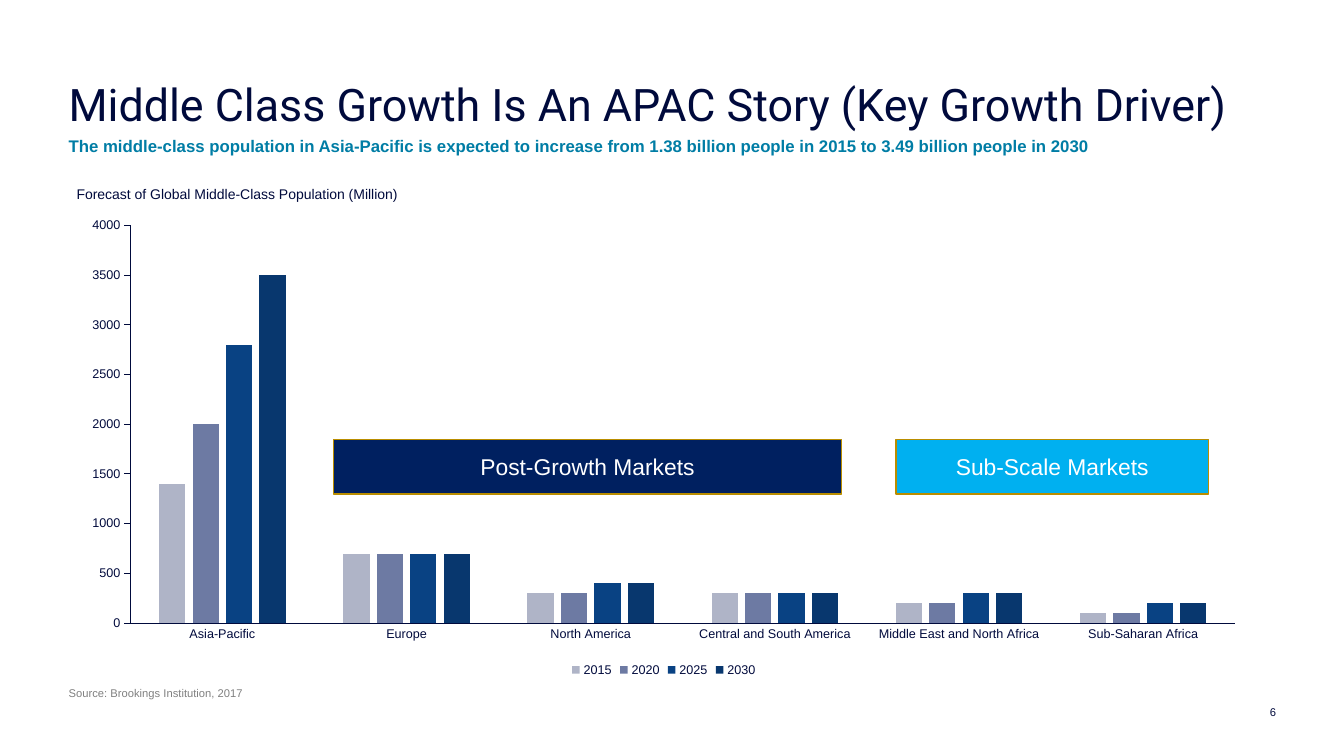
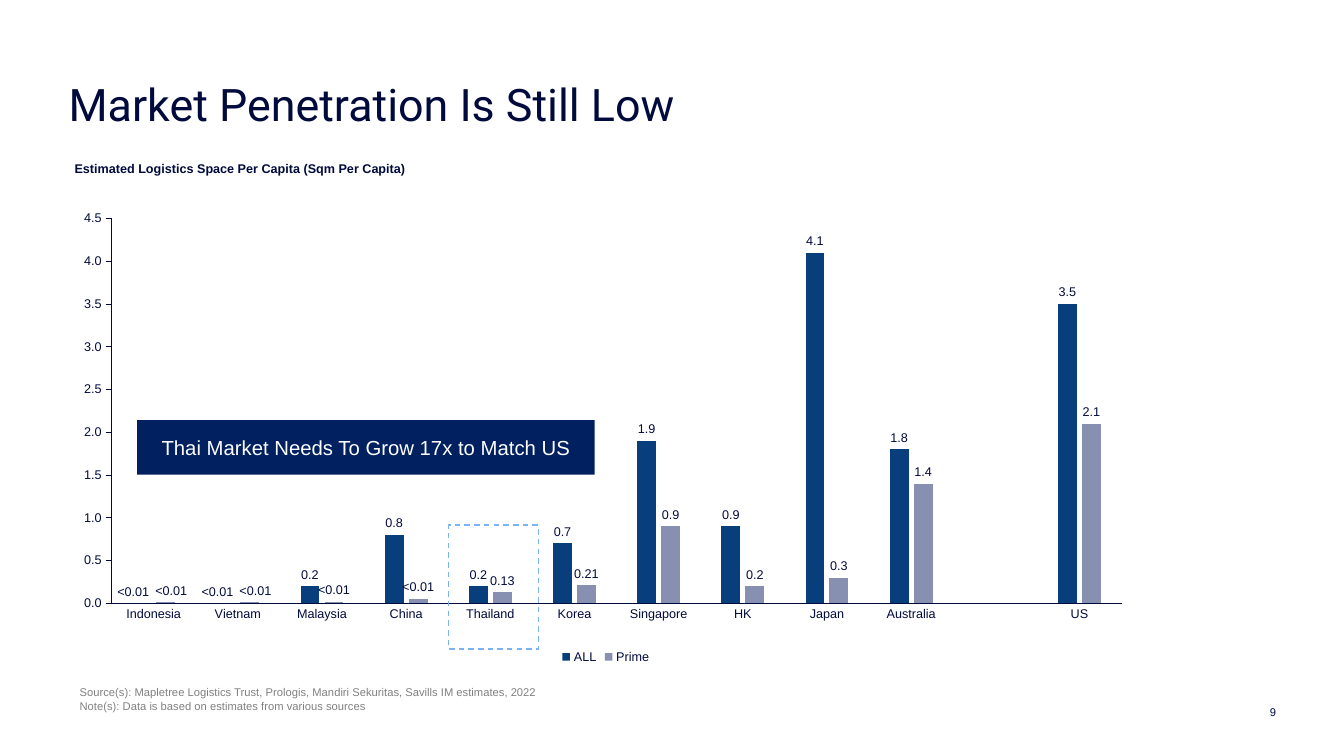
"""Build two slides on middle-class growth and logistics space per capita."""
import pptx
import pptx.chart.data
import pptx.dml.color
import pptx.enum.chart
import pptx.enum.dml
import pptx.enum.shapes
import pptx.enum.text
import pptx.oxml
import pptx.oxml.ns
import pptx.util

Pt = pptx.util.Pt
RGB = pptx.dml.color.RGBColor
ALIGN = pptx.enum.text.PP_ALIGN
ANCHOR = pptx.enum.text.MSO_ANCHOR
TICK = pptx.enum.chart.XL_TICK_MARK

INK = RGB(0x00, 0x0A, 0x3C)
GREY = RGB(0x80, 0x80, 0x80)
TEAL = RGB(0x00, 0x7D, 0xA5)
WHITE = RGB(0xFF, 0xFF, 0xFF)
NAVY = RGB(0x00, 0x20, 0x60)
SKY = RGB(0x00, 0xB0, 0xF0)
GOLD = RGB(0xB9, 0x8D, 0x00)
DASH_BLUE = RGB(0x79, 0xB2, 0xF5)

LEFT = 49
CALLOUT_HEIGHT = 38.9
PAGE_NUMBER_BOX = (838.1, 505.4, 73.4, 5.8)
NO_INSETS = (0, 0, 0, 0)
INSETS = (0, 3, 7, 3)

GROWTH = {
    "title": "Middle Class Growth Is An APAC Story (Key Growth Driver)",
    "width": 850.3,
    "page": "6",
    "texts": [
        (["The middle-class population in Asia-Pacific is expected to increase "
          "from 1.38 billion people in 2015 to 3.49 billion people in 2030"],
         (LEFT, 94.3, 795.6, 23.8), dict(size=12, color=TEAL, bold=True)),
        (["Forecast of Global Middle-Class Population (Million)"],
         (54.7, 123.8, 347.8, 29.5),
         dict(size=10, anchor=ANCHOR.MIDDLE, insets=NO_INSETS)),
        (["Source: Brookings Institution, 2017"],
         (LEFT, 487.4, 347.8, 25.9), dict(size=8, color=GREY)),
    ],
    "chart": {
        "top": 149, "height": 337.7, "maximum": 4000, "step": 500,
        "format": "General",
        "categories": ["Asia-Pacific", "Europe", "North America",
                       "Central and South America",
                       "Middle East and North Africa", "Sub-Saharan Africa"],
        "series": [
            ("2015", [1400, 700, 300, 300, 200, 100], RGB(0xAF, 0xB4, 0xC7)),
            ("2020", [2000, 700, 300, 300, 200, 100], RGB(0x6D, 0x7A, 0xA3)),
            ("2025", [2800, 700, 400, 300, 300, 200], RGB(0x09, 0x42, 0x83)),
            ("2030", [3500, 700, 400, 300, 300, 200], RGB(0x08, 0x37, 0x6E)),
        ],
    },
    "callouts": [
        ("Post-Growth Markets", 238.3, 313.9, 362.9, NAVY, GOLD, 16.3),
        ("Sub-Scale Markets", 640.1, 313.9, 223.2, SKY, GOLD, 16.3),
    ],
}

PENETRATION = {
    "title": "Market Penetration Is Still Low",
    "width": 767.5,
    "page": "9",
    "texts": [
        (["Estimated Logistics Space Per Capita (Sqm Per Capita)"],
         (53.3, 105.6, 347.8, 29.5),
         dict(size=9, bold=True, anchor=ANCHOR.MIDDLE)),
        (["Source(s): Mapletree Logistics Trust, Prologis, Mandiri Sekuritas, "
          "Savills IM estimates, 2022",
          "Note(s): Data is based on estimates from various sources"],
         (56.9, 486.7, 383, 28.1), dict(size=8, color=GREY)),
    ],
    "chart": {
        "top": 146.2, "height": 331.2, "maximum": 4.5, "step": 0.5,
        "format": "0.0",
        "plot": {"x": 0.04, "y": 0.03, "w": 0.94, "h": 0.83},
        "categories": ["Indonesia", "Vietnam", "Malaysia", "China", "Thailand",
                       "Korea", "Singapore", "HK", "Japan", "Australia", "",
                       "US"],
        "series": [
            ("ALL", [0, 0, 0.2, 0.8, 0.2, 0.7, 1.9, 0.9, 4.1, 1.8, None, 3.5],
             RGB(0x09, 0x3E, 0x7C)),
            ("Prime", [0.01, 0.01, 0.02, 0.05, 0.13, 0.21, 0.9, 0.2, 0.3, 1.4,
                       None, 2.1], RGB(0x87, 0x90, 0xB0)),
        ],
        "labels": [
            [("<0.01", -6)] * 2,
            [("<0.01", 4)] * 2 + [("<0.01", 0)] * 2
            + [("0.13", 0), ("0.21", 0)],
        ],
    },
    "callouts": [
        ("Thai Market Needs To Grow 17x to Match US",
         97.9, 300.2, 326.9, NAVY, None, 14.5),
    ],
    "highlight": (320.4, 375.1, 64.1, 88.6),
}


def points(*lengths):
    return [Pt(length) for length in lengths]


def style_font(font, size, color=INK, bold=False, name="Arial"):
    font.size, font.bold, font.name = Pt(size), bold, name
    font.color.rgb = color


def write(sp, lines, size, color=INK, bold=False, name="Arial",
          align=ALIGN.LEFT, anchor=ANCHOR.TOP, insets=INSETS, spacing=None):
    tf = sp.text_frame
    tf.word_wrap = True
    tf.auto_size = pptx.enum.text.MSO_AUTO_SIZE.NONE
    tf.vertical_anchor = anchor
    (tf.margin_left, tf.margin_top,
     tf.margin_right, tf.margin_bottom) = points(*insets)
    for i, line in enumerate(lines):
        p = tf.add_paragraph() if i else tf.paragraphs[0]
        p.alignment = align
        if spacing:
            p.line_spacing = spacing
        r = p.add_run()
        r.text = line
        style_font(r.font, size, color, bold, name)


def add_text(s, lines, box, **style):
    write(s.shapes.add_textbox(*points(*box)), lines, **style)


def add_rectangle(s, box, fill=None, line=None):
    sp = s.shapes.add_shape(pptx.enum.shapes.MSO_SHAPE.RECTANGLE, *points(*box))
    sp.shadow.inherit = False
    if fill is None:
        sp.fill.background()
    else:
        sp.fill.solid()
        sp.fill.fore_color.rgb = fill
    if line is None:
        sp.line.fill.background()
    else:
        sp.line.color.rgb = line
        sp.line.width = Pt(1)
    return sp


def style_axis(axis, tick):
    axis.has_major_gridlines = False
    axis.major_tick_mark = tick
    axis.minor_tick_mark = TICK.NONE
    axis.format.line.color.rgb = INK
    axis.format.line.width = Pt(0.75)
    style_font(axis.tick_labels.font, 9)


def manual_layout(settings):
    ns = pptx.oxml.ns.nsdecls("c")
    parts = "".join(f'<c:{k} val="{v}"/>' for k, v in settings.items())
    return pptx.oxml.parse_xml(
        f'<c:layout {ns}><c:manualLayout>{parts}</c:manualLayout></c:layout>')


def set_plot_area(chart, plot):
    area = chart.plots[0]._element.getparent()
    for old in area.findall(pptx.oxml.ns.qn("c:layout")):
        area.remove(old)
    area.insert(0, manual_layout(
        {"layoutTarget": "inner", "xMode": "edge", "yMode": "edge", **plot}))


def label_series(series, texts, number_format, width):
    position = pptx.enum.chart.XL_LABEL_POSITION.OUTSIDE_END
    labels = series.data_labels
    labels.show_value = True
    labels.number_format = number_format
    labels.number_format_is_linked = False
    labels.position = position
    style_font(labels.font, 9)
    for i, (text, shift) in enumerate(texts):
        label = series.points[i].data_label
        r = label.text_frame.paragraphs[0].add_run()
        r.text = text
        style_font(r.font, 9)
        label.position = position
        if shift:
            element = series._element.xpath("c:dLbls/c:dLbl")[i]
            element.insert(1, manual_layout({"x": shift / width, "y": 0}))


def add_column_chart(s, width, spec):
    data = pptx.chart.data.CategoryChartData(number_format=spec["format"])
    data.categories = spec["categories"]
    for name, values, _ in spec["series"]:
        data.add_series(name, values)
    chart = s.shapes.add_chart(
        pptx.enum.chart.XL_CHART_TYPE.COLUMN_CLUSTERED,
        *points(LEFT, spec["top"], width, spec["height"]), data).chart
    style_font(chart.font, 10)
    chart.has_title = False
    chart.has_legend = True
    chart.legend.position = pptx.enum.chart.XL_LEGEND_POSITION.BOTTOM
    chart.legend.include_in_layout = False
    style_font(chart.legend.font, 9)

    style_axis(chart.category_axis, TICK.NONE)
    axis = chart.value_axis
    style_axis(axis, TICK.OUTSIDE)
    axis.minimum_scale, axis.maximum_scale = 0, spec["maximum"]
    axis.major_unit = spec["step"]
    axis.tick_labels.number_format = spec["format"]
    axis.tick_labels.number_format_is_linked = False

    plot = chart.plots[0]
    plot.vary_by_categories = False
    plot.gap_width, plot.overlap = 219, -27
    for series, (_, _, color) in zip(plot.series, spec["series"]):
        series.invert_if_negative = False
        series.format.fill.solid()
        series.format.fill.fore_color.rgb = color
    for series, texts in zip(plot.series, spec.get("labels", [])):
        label_series(series, texts, spec["format"], width)
    if "plot" in spec:
        set_plot_area(chart, spec["plot"])


def add_slide(prs, content):
    s = prs.slides.add_slide(prs.slide_layouts[5])
    title = s.shapes.title
    title.left, title.top, title.width, title.height = points(
        LEFT, 26.7, content["width"], 67)
    write(title, [content["title"]], size=32, name="Roboto", spacing=0.9,
          anchor=ANCHOR.BOTTOM, insets=NO_INSETS)
    add_column_chart(s, content["width"], content["chart"])
    for lines, box, style in content["texts"]:
        add_text(s, lines, box, **style)
    for text, left, top, width, fill, line, size in content["callouts"]:
        sp = add_rectangle(s, (left, top, width, CALLOUT_HEIGHT), fill, line)
        write(sp, [text], size=size, color=WHITE, align=ALIGN.CENTER,
              anchor=ANCHOR.MIDDLE, insets=(7.2, 3.6, 7.2, 3.6))
    if "highlight" in content:
        sp = add_rectangle(s, content["highlight"], line=DASH_BLUE)
        sp.line.dash_style = pptx.enum.dml.MSO_LINE.DASH
    add_text(s, [content["page"]], PAGE_NUMBER_BOX, size=8, align=ALIGN.RIGHT,
             anchor=ANCHOR.MIDDLE, insets=NO_INSETS)


def main():
    prs = pptx.Presentation()
    prs.slide_width, prs.slide_height = points(960, 540)
    for content in (GROWTH, PENETRATION):
        add_slide(prs, content)
    prs.save("out.pptx")


if __name__ == "__main__":
    main()
